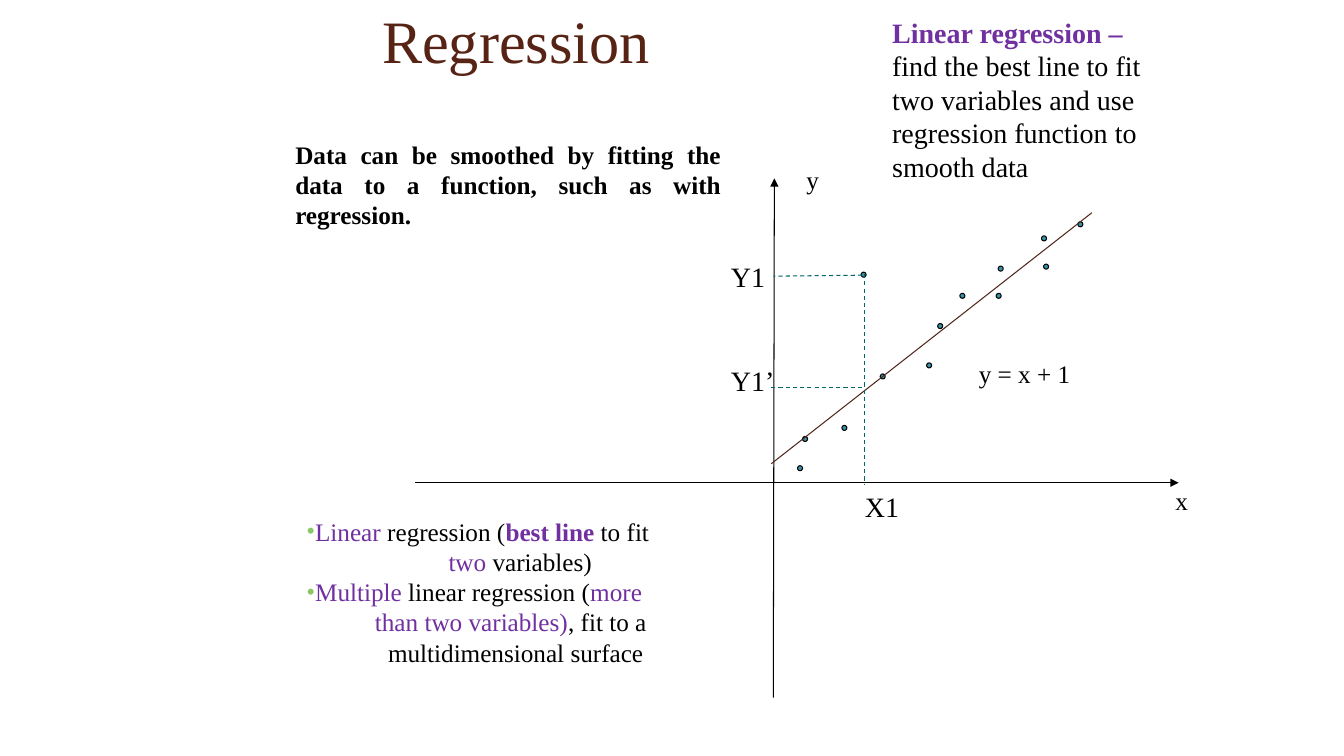
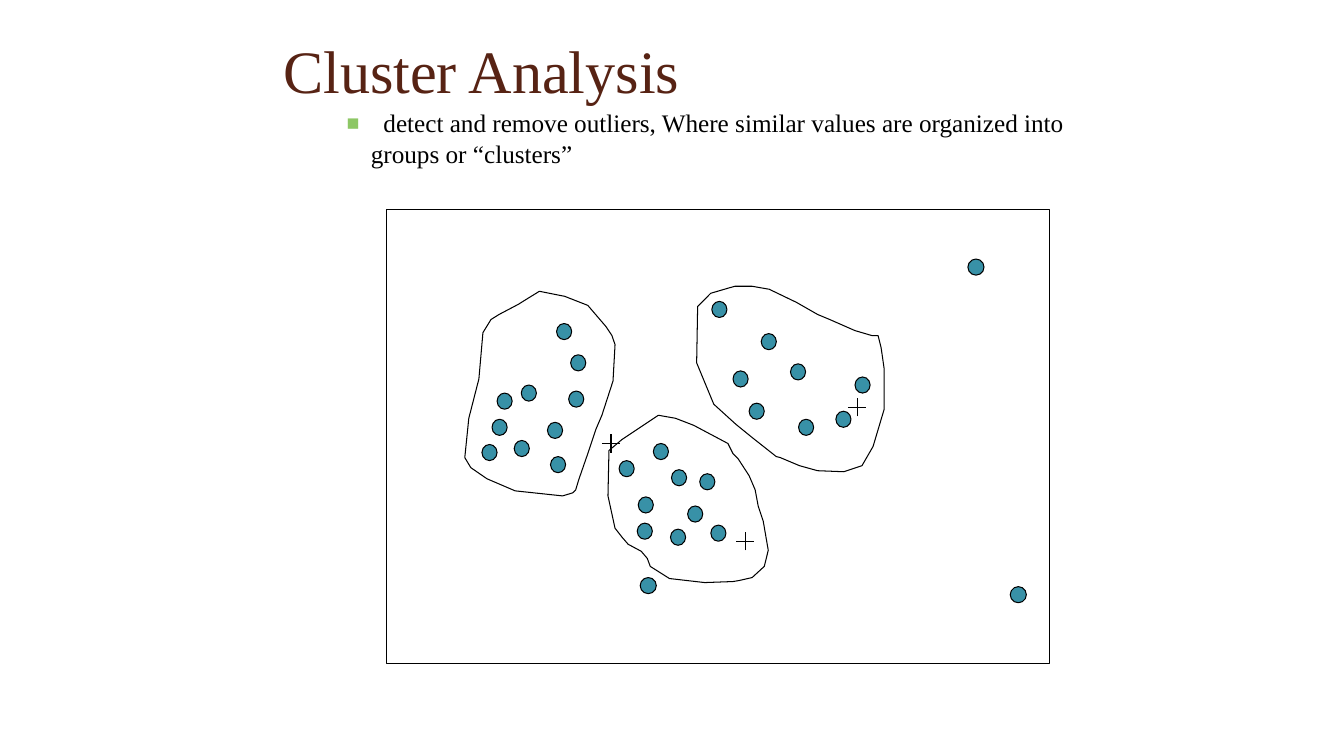
from lxml import etree
from pptx import Presentation
from pptx.dml.color import RGBColor
from pptx.enum import dml, shapes, text
from pptx.oxml import ns
from pptx.util import Inches, Pt

FONT = "Times New Roman"
BLACK = RGBColor(0x00, 0x00, 0x00)
BROWN = RGBColor(0x57, 0x23, 0x14)
FIT_BROWN = RGBColor(0x4F, 0x27, 0x1C)
TEAL = RGBColor(0x38, 0x91, 0xA7)
DASH_TEAL = RGBColor(0x00, 0x66, 0x66)
PURPLE = RGBColor(0x70, 0x30, 0xA0)
GREEN = RGBColor(0x8D, 0xC7, 0x65)
THIN = Pt(0.75)

SAMPLES = [
    (5.19, 2.1), (4.73, 2.21), (4.54, 1.2), (4.35, 2.72), (5.3, 1.71),
    (5.52, 1.41), (3.96, 2.83), (5.88, 1.41), (5.9, 1.14), (6.35, 1.12),
    (3.91, 3.12), (6.33, 0.84), (6.69, 0.7),
]
PLOT_LABELS = [
    ("x", 7.56, 3.27, 0.32, 18), ("y", 3.9, 0.08, 0.32, 18),
    ("y = x + 1", 5.61, 2.01, 1.11, 18), ("X1", 4.48, 3.31, 0.54, 20),
    ("Y1", 3.15, 1.02, 0.54, 20), ("Y1’", 3.15, 2.06, 0.64, 20),
]
GUIDES = [
    ((4.57, 1.22), (4.57, 3.31)),
    ((4.55, 1.23), (3.67, 1.24)),
    ((4.55, 2.34), (3.65, 2.34)),
]

OUTLIERS = [(7.02, 3.82), (3.35, 3.73), (6.6, 0.57)]
MEMBERS = [
    (2.1, 2.37), (1.88, 2.16), (2.43, 2.19), (2.17, 1.82), (1.78, 2.41),
    (1.93, 1.9), (2.46, 2.53), (2.64, 1.88), (2.66, 1.52), (2.52, 1.21),
    (4.55, 1.31), (4.43, 2), (4.84, 1.61), (4.27, 1.68),
    (5.48, 1.74), (5.29, 2.08), (4.92, 2.16), (4.06, 0.99),
    (3.14, 2.57), (3.94, 2.7), (3.65, 3.25), (3.82, 3.02), (3.33, 2.93),
    (3.32, 3.19), (3.48, 2.4), (3.66, 2.66), (4.05, 3.21),
]
CENTRES = [(4.39, 3.37), (5.5, 2.04), (3.06, 2.4)]
LEFT_OUTLINE = [
    (2.91, 2.26), (2.82, 2.53), (2.74, 2.76), (2.71, 2.86), (2.68, 2.89),
    (2.58, 2.92), (2.11, 2.87), (1.83, 2.75), (1.67, 2.64), (1.61, 2.54),
    (1.65, 2.15), (1.75, 1.76), (1.79, 1.3), (1.87, 1.17), (1.95, 1.12),
    (2.14, 1.02), (2.22, 0.97), (2.35, 0.89), (2.6, 0.94), (2.83, 1.03),
    (3.01, 1.24), (3.07, 1.33), (3.1, 1.42), (3.08, 1.78), (2.97, 2.12),
]
RIGHT_OUTLINE = [
    (5.71, 1.33), (5.74, 1.45), (5.77, 1.66), (5.77, 2.06), (5.66, 2.43),
    (5.55, 2.62), (5.37, 2.68), (5.11, 2.67), (4.93, 2.62), (4.74, 2.54),
    (4.7, 2.53), (4.46, 2.34), (4.3, 2.21), (4.08, 2.01), (3.91, 1.6),
    (3.92, 1.04), (4.05, 0.91), (4.22, 0.86), (4.29, 0.84), (4.46, 0.84),
    (4.63, 0.87), (4.9, 1), (5.11, 1.12), (5.23, 1.17), (5.48, 1.28),
    (5.65, 1.33),
]
MIDDLE_OUTLINE = [
    (3.42, 3.54), (3.36, 3.47), (3.23, 3.4), (3.17, 3.33), (3.1, 3.24),
    (3.03, 2.92), (3.04, 2.47), (3.17, 2.36), (3.53, 2.12), (3.7, 2.15),
    (3.88, 2.22), (4.22, 2.4), (4.27, 2.5), (4.32, 2.55), (4.43, 2.72),
    (4.49, 2.86), (4.52, 3.02), (4.57, 3.17), (4.62, 3.46), (4.58, 3.62),
    (4.46, 3.73), (4.33, 3.76), (4.27, 3.77), (3.99, 3.78), (3.64, 3.74),
    (3.45, 3.62),
]


def style_run(r, size, color=BLACK, bold=False):
    """Give a run its font, size, colour and weight."""
    r.font.name = FONT
    r.font.size = Pt(size)
    r.font.color.rgb = color
    r.font.bold = bold


def add_title_slide(prs, title, left, top, width):
    """Add a title-only slide with its title in the given place."""
    s = prs.slides.add_slide(prs.slide_layouts[5])
    sp = s.shapes.title
    sp.left, sp.top = Inches(left), Inches(top)
    sp.width, sp.height = Inches(width), Inches(0.83)
    tf = sp.text_frame
    tf.text = title
    tf.auto_size = text.MSO_AUTO_SIZE.NONE
    tf.vertical_anchor = text.MSO_ANCHOR.MIDDLE
    p = tf.paragraphs[0]
    p.alignment = text.PP_ALIGN.LEFT
    style_run(p.runs[0], 43, BROWN)
    return s


def add_text(s, box, paragraphs, size, wrap=True):
    """Add a text box of paragraphs, each a list of (text, colour, bold) runs."""
    tf = s.shapes.add_textbox(*map(Inches, box)).text_frame
    tf.word_wrap = wrap
    for i, runs in enumerate(paragraphs):
        p = tf.add_paragraph() if i else tf.paragraphs[0]
        for words, color, bold in runs:
            r = p.add_run()
            r.text = words
            style_run(r, size, color, bold)
    return tf


def indent(p, margin, first=0, bullet=None, percent=100):
    """Indent a paragraph and give it an optional green bullet."""
    pPr = p._p.get_or_add_pPr()
    pPr.set("marL", str(Inches(margin)))
    pPr.set("indent", str(Inches(first)))
    if bullet:
        clr = etree.SubElement(pPr, ns.qn("a:buClr"))
        etree.SubElement(clr, ns.qn("a:srgbClr"), val=str(GREEN))
        etree.SubElement(pPr, ns.qn("a:buSzPct"), val=str(percent * 1000))
        etree.SubElement(pPr, ns.qn("a:buFont"), typeface=FONT)
        etree.SubElement(pPr, ns.qn("a:buChar"), char=bullet)


def add_line(s, start, end, color=BLACK, arrow=False, dashed=False):
    """Draw a thin straight line between two points."""
    line = s.shapes.add_connector(
        shapes.MSO_CONNECTOR.STRAIGHT, *map(Inches, (*start, *end)))
    line.line.color.rgb = color
    line.line.width = THIN
    if dashed:
        line.line.dash_style = dml.MSO_LINE.DASH
    if arrow:
        etree.SubElement(line.line._get_or_add_ln(), ns.qn("a:tailEnd"), type="triangle")
    etree.SubElement(line._element.spPr, ns.qn("a:effectLst"))


def outline(sp, fill=None):
    """Give a shape a thin black outline and an optional fill."""
    sp.shadow.inherit = False
    sp.line.color.rgb = BLACK
    sp.line.width = THIN
    if fill is None:
        sp.fill.background()
    else:
        sp.fill.solid()
        sp.fill.fore_color.rgb = fill


def add_dot(s, left, top, width, height, kind=shapes.MSO_SHAPE.OVAL):
    """Draw a teal data point."""
    outline(s.shapes.add_shape(kind, *map(Inches, (left, top, width, height))), TEAL)


def add_plot(s, left, top):
    """Draw the axes, fitted line, guides, samples and labels."""
    def at(x, y):
        return left + x, top + y

    add_line(s, at(0.12, 3.29), at(7.69, 3.29), arrow=True)
    add_line(s, at(3.67, 5.42), at(3.68, 0.27), arrow=True)
    for sample in SAMPLES:
        add_dot(s, *at(*sample), 0.05, 0.05)
    add_line(s, at(3.65, 3.1), at(6.83, 0.61), FIT_BROWN)
    for start, end in GUIDES:
        add_line(s, at(*start), at(*end), DASH_TEAL, dashed=True)
    for label, x, y, width, size in PLOT_LABELS:
        add_text(s, (*at(x, y), width, 0.42), [[(label, BLACK, False)]], size, wrap=False)


def add_kinds_list(s, left, top):
    """Write the list of the two kinds of regression."""
    lines = [
        (0, "•", [("Linear ", PURPLE, False), ("regression (", BLACK, False),
                  ("best line ", PURPLE, True), ("to fit", BLACK, False)]),
        (1.41, None, [("two ", PURPLE, False), ("variables)", BLACK, False)]),
        (0, "•", [("Multiple", PURPLE, False), (" linear regression (", BLACK, False),
                  ("more", PURPLE, False)]),
        (0.68, None, [("than two variables)", PURPLE, False), (", fit to a", BLACK, False)]),
        (0.81, None, [("multidimensional surface", BLACK, False)]),
    ]
    tf = add_text(s, (left, top, 3.68, 1.62), [runs for _, _, runs in lines], 18)
    for p, (margin, bullet, _) in zip(tf.paragraphs, lines):
        indent(p, margin, bullet=bullet)


def add_clusters(s, left, top):
    """Draw the framed scatter with its three outlined clusters."""
    def at(x, y):
        return left + x, top + y

    frame = (*at(0.83, 0.08), 6.58, 4.5)
    outline(s.shapes.add_shape(shapes.MSO_SHAPE.RECTANGLE, *map(Inches, frame)))
    for x, y in CENTRES:
        add_line(s, at(x - 0.09, y), at(x + 0.09, y))
        add_line(s, at(x, y + 0.09), at(x, y - 0.09))
    for points, width in ((OUTLIERS, 0.16), (MEMBERS, 0.15)):
        for point in points:
            add_dot(s, *at(*point), width, 0.16, shapes.MSO_SHAPE.FLOWCHART_CONNECTOR)
    for edge in (RIGHT_OUTLINE, MIDDLE_OUTLINE, LEFT_OUTLINE):
        corners = [tuple(map(Inches, at(*point))) for point in edge]
        fb = s.shapes.build_freeform(*corners[0])
        fb.add_line_segments(corners[1:], close=True)
        outline(fb.convert_to_shape())


def regression_slide(prs):
    """Build the regression slide."""
    s = add_title_slide(prs, "Regression", 3.69, -0.02, 7)
    add_plot(s, 4, 1.5)
    tf = add_text(s, (2.83, 1.33, 4.42, 1.01), [[(
        "Data can be smoothed by fitting the data to a function, "
        "such as with regression.", BLACK, True)]], 18)
    tf.paragraphs[0].alignment = text.PP_ALIGN.JUSTIFY
    add_kinds_list(s, 2.94, 5.07)
    add_text(s, (8.75, 0.1, 2.82, 1.79), [[
        ("Linear regression – ", PURPLE, True),
        ("find the best line to fit two variables and use regression "
         "function to smooth data", BLACK, False)]], 20)


def cluster_slide(prs):
    """Build the cluster analysis slide."""
    s = add_title_slide(prs, "Cluster Analysis", 2.71, 0.27, 4.23)
    add_clusters(s, 3, 2)
    tf = add_text(s, (3.08, 1.02, 8.17, 1.01), [[
        (" ", BLACK, False),
        ("detect and remove outliers, Where similar values are organized "
         "into groups or “clusters”", BLACK, False)]], 18)
    p = tf.paragraphs[0]
    p.space_before = Pt(6)
    p.runs[0].font._element.set("spc", "450")
    indent(p, 0.5, -0.24, "■", 85)


def main():
    """Build and save the presentation."""
    prs = Presentation()
    prs.slide_width, prs.slide_height = Inches(13.33), Inches(7.5)
    regression_slide(prs)
    cluster_slide(prs)
    prs.save("out.pptx")


if __name__ == "__main__":
    main()
